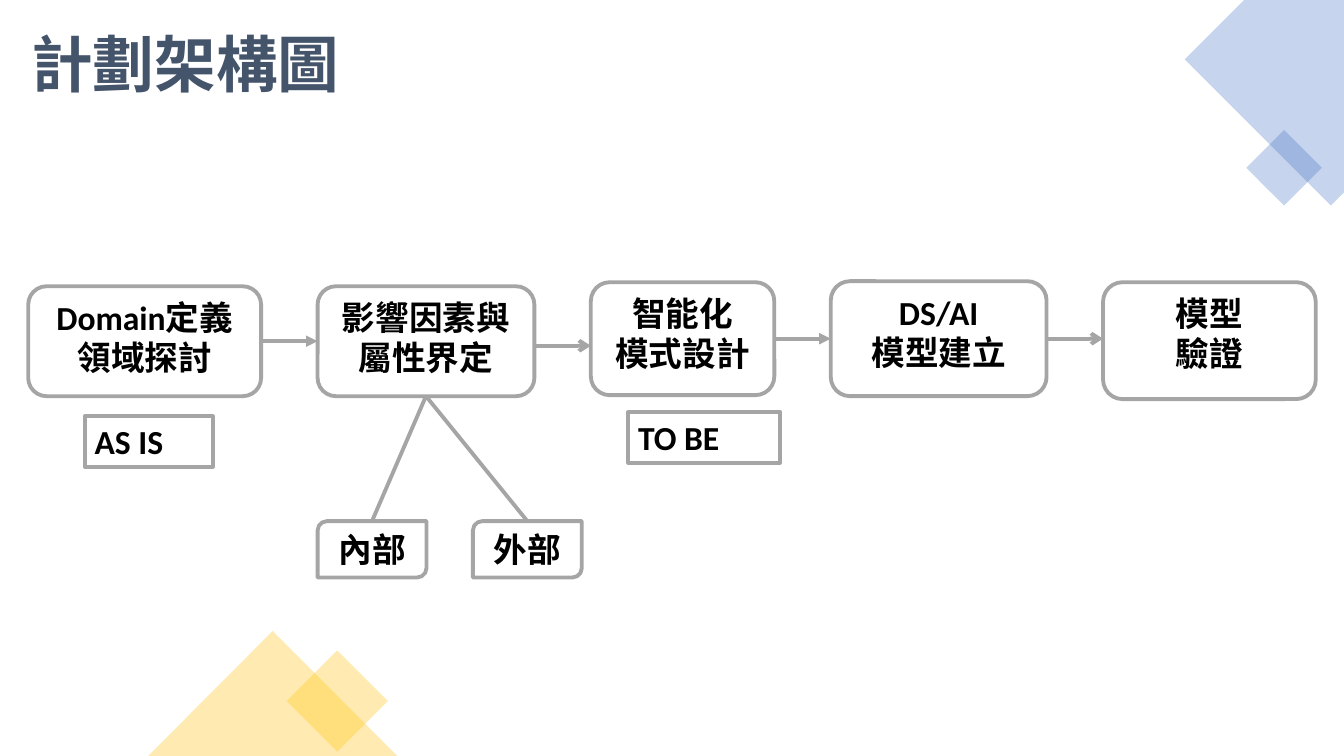
"""Build the project framework slide: five linked stages with notes and branches."""
from lxml import etree
from pptx import Presentation
from pptx.dml.color import RGBColor
from pptx.enum import shapes, text
from pptx.oxml import ns
from pptx.util import Inches, Pt

GRAY, BLUE, GOLD = "A5A5A5", "4472C4", "FFC000"
KIND = shapes.MSO_SHAPE
TITLE = "計劃架構圖"
STAGES = [
    ("Domain定義\n領域探討", 0.28, 2.84, 2.31, 1.09),
    ("影響因素與\n屬性界定", 3.15, 2.84, 2.15, 1.09),
    ("智能化\n模式設計", 5.86, 2.8, 1.82, 1.12),
    ("DS/AI\n模型建立", 8.24, 2.79, 2.14, 1.14),
    ("模型\n驗證", 10.94, 2.8, 2.11, 1.16),
]
PARTS = [("內部", 3.15), ("外部", 4.69)]
NOTES = [("AS IS", 0.84, 4.13, 1.27, 0.5), ("TO BE", 6.23, 4.09, 1.51, 0.5)]
ARROWS = [
    ("triangle", 3.38, True, True),
    ("arrow", 3.43, False, False),
    ("triangle", 3.36, True, True),
    ("arrow", 3.36, True, False),
]
DECOR = [
    (KIND.RECTANGLE, BLUE, 45, 12.47, 1.4, 0.53, 0.53),
    (KIND.RECTANGLE, GOLD, 45, 2.99, 6.6, 0.71, 0.71),
    (KIND.ISOSCELES_TRIANGLE, GOLD, 0, 1.47, 6.26, 2.47, 1.24),
]
CORNER = [(13.33, 0), (12.34, 0), (11.75, 0.59), (13.2, 2.04), (13.33, 1.91)]


def color(code):
    return RGBColor.from_string(code)


def write(shape, words, size=24, font="Calibri", ink="000000",
          align=text.PP_ALIGN.CENTER, anchor=text.MSO_ANCHOR.TOP):
    frame = shape.text_frame
    frame.text = words
    frame.word_wrap = True
    frame.auto_size = text.MSO_AUTO_SIZE.NONE
    frame.vertical_anchor = anchor
    for para in frame.paragraphs:
        para.alignment = align
        for run in para.runs:
            run.font.size, run.font.name, run.font.bold = Pt(size), font, True
            run.font.color.rgb = color(ink)


def tint(shape, code):
    shape.shadow.inherit = False
    shape.line.fill.background()
    shape.fill.solid()
    shape.fill.fore_color.rgb = color(code)
    fill = shape.fill._xPr.find(ns.qn("a:solidFill"))
    etree.SubElement(fill[0], ns.qn("a:alpha"), val="30000")


def box(slide, kind, words, *place, **style):
    shape = slide.shapes.add_shape(kind, *map(Inches, place))
    shape.shadow.inherit = False
    shape.fill.solid()
    shape.fill.fore_color.rgb = color("FFFFFF")
    shape.line.color.rgb = color(GRAY)
    shape.line.width = Pt(2.75)
    write(shape, words, **style)
    return shape


def link(slide, start, end, head=None):
    line = slide.shapes.add_connector(
        shapes.MSO_CONNECTOR.STRAIGHT, *map(Inches, start + end))
    line.line.color.rgb = color(GRAY)
    line.line.width = Pt(2.75)
    if head:
        etree.SubElement(line.line._get_or_add_ln(), ns.qn("a:tailEnd"), type=head)
    etree.SubElement(line._element.spPr, ns.qn("a:effectLst"))
    return line


def main():
    deck = Presentation()
    deck.slide_width, deck.slide_height = Inches(13.33), Inches(7.5)
    slide = deck.slides.add_slide(deck.slide_layouts[5])

    points = [(Inches(x), Inches(y)) for x, y in CORNER]
    path = slide.shapes.build_freeform(*points[0])
    path.add_line_segments(points[1:])
    tint(path.convert_to_shape(), BLUE)
    for kind, code, turn, *place in DECOR:
        shape = slide.shapes.add_shape(kind, *map(Inches, place))
        shape.rotation = turn
        tint(shape, code)

    title = slide.shapes.title
    title.left, title.top, title.width, title.height = map(
        Inches, (0.21, 0.2, 5.61, 0.84))
    write(title, TITLE, size=44, font="Lato", ink="44546A",
          align=text.PP_ALIGN.LEFT, anchor=text.MSO_ANCHOR.MIDDLE)

    stages = [box(slide, KIND.ROUNDED_RECTANGLE, *stage) for stage in STAGES]
    for i, (head, y, begin, end) in enumerate(ARROWS):
        right = STAGES[i][1] + STAGES[i][3]
        line = link(slide, (right, y), (STAGES[i + 1][1], y), head)
        if begin:
            line.begin_connect(stages[i], 3)
        if end:
            line.end_connect(stages[i + 1], 1)

    for words, x in PARTS:
        part = box(slide, KIND.ROUND_2_DIAG_RECTANGLE, words, x, 5.17, 1.08, 0.56)
        line = link(slide, (4.22, 3.93), (x + 0.54, 5.17))
        line.begin_connect(stages[1], 2)
        line.end_connect(part, 3)
        line.end_x, line.end_y = Inches(x + 0.54), Inches(5.17)

    for note in NOTES:
        box(slide, KIND.RECTANGLE, *note, align=text.PP_ALIGN.LEFT)
    deck.save("out.pptx")


if __name__ == "__main__":
    main()
